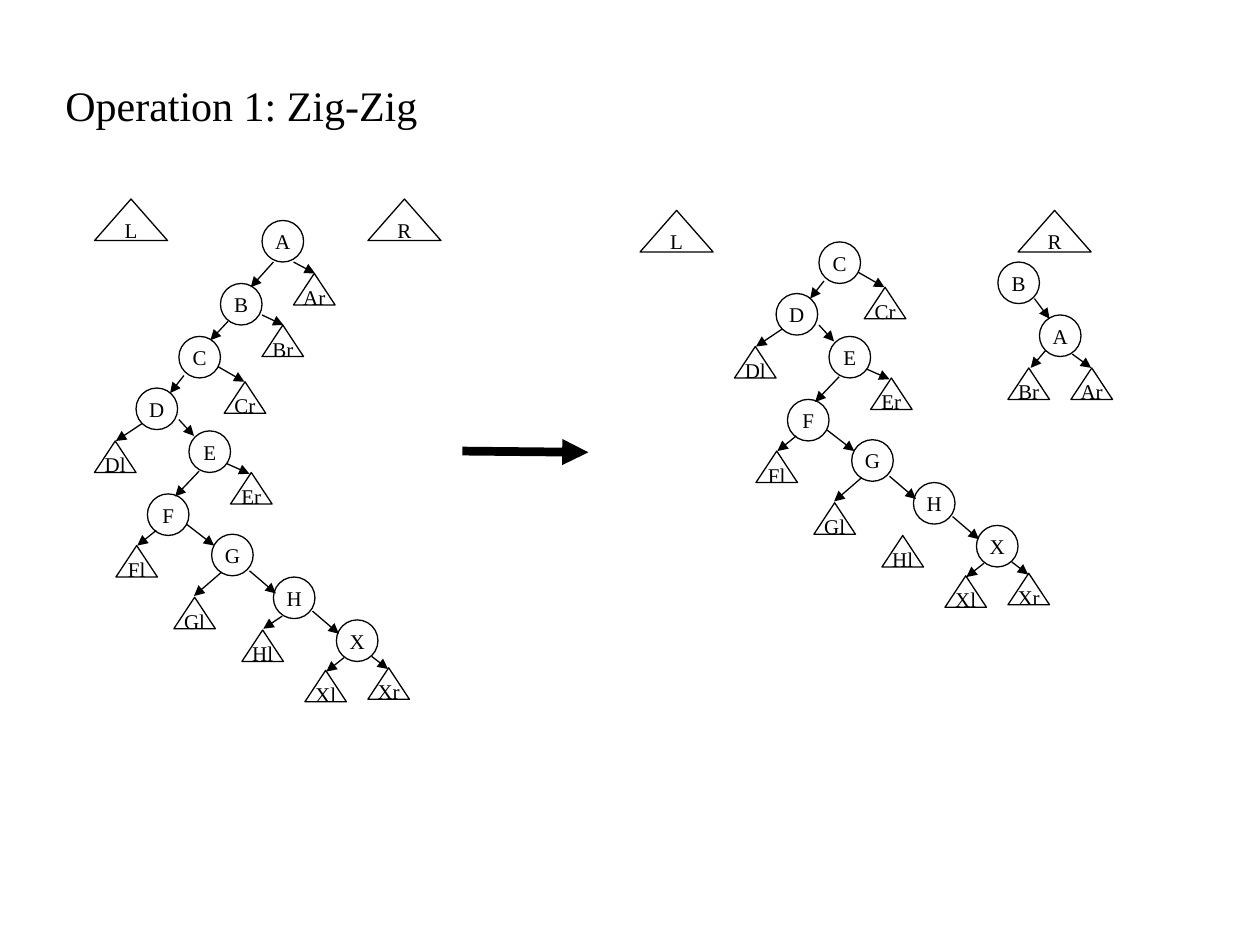
from lxml import etree
from pptx import Presentation
from pptx.dml.color import RGBColor
from pptx.enum import shapes, text
from pptx.oxml import ns
from pptx.util import Inches, Pt

BLACK = RGBColor(0, 0, 0)
WHITE = RGBColor(255, 255, 255)
FONT = "Times New Roman"
CIRCLE = (shapes.MSO_SHAPE.OVAL, 0.33, 0.33)
SUBTREE = (shapes.MSO_SHAPE.FLOWCHART_EXTRACT, 0.33, 0.25)
TREE = (shapes.MSO_SHAPE.FLOWCHART_EXTRACT, 0.58, 0.33)
LABEL_FRAME = {
    "word_wrap": False,
    "vertical_anchor": text.MSO_ANCHOR.MIDDLE,
}
TITLE_FRAME = {"word_wrap": True, "auto_size": text.MSO_AUTO_SIZE.SHAPE_TO_FIT_TEXT}

AFTER_SHIFT = (5.08, -0.75)
SHARED_CIRCLES = {
    "C": (1.42, 2.67), "D": (1.08, 3.08), "E": (1.5, 3.42), "F": (1.17, 3.92),
    "G": (1.68, 4.24), "H": (2.17, 4.58), "X": (2.67, 4.92),
}
SHARED_SUBTREES = {
    "Cr": (1.78, 3.03), "Dl": (0.75, 3.5), "Er": (1.83, 3.75), "Fl": (0.92, 4.33),
    "Gl": (1.38, 4.74), "Hl": (1.92, 5), "Xl": (2.42, 5.32), "Xr": (2.92, 5.3),
}
SHARED_EDGES = [
    (1.46, 2.98, 1.35, 3.12), (1.42, 3.33, 1.54, 3.46), (1.58, 3.74, 1.39, 3.94),
    (1.48, 4.16, 1.7, 4.33), (1.98, 4.53, 2.19, 4.71), (2.48, 4.85, 2.69, 5.03),
    (1.73, 2.91, 1.94, 3.03), (1.13, 3.36, 0.92, 3.5), (1.8, 3.68, 1.98, 3.76),
    (1.24, 4.21, 1.09, 4.33), (1.76, 4.54, 1.54, 4.73), (2.73, 5.22, 2.59, 5.33),
    (2.95, 5.21, 3.08, 5.31),
]

BEFORE_TREES = {"L": (0.75, 1.58), "R": (2.92, 1.58)}
BEFORE_CIRCLES = {"A": (2.08, 1.75), "B": (1.75, 2.25)}
BEFORE_SUBTREES = {"Ar": (2.33, 2.17), "Br": (2.08, 2.58)}
BEFORE_EDGES = [
    (2.17, 2.08, 1.99, 2.28), (1.81, 2.55, 1.67, 2.7), (2.33, 2.08, 2.5, 2.17),
    (2.08, 2.5, 2.25, 2.58), (2.24, 4.89, 2.09, 4.99),
]

AFTER_TREES = {"L": (5.08, 1.67), "R": (8.08, 1.67)}
AFTER_CIRCLES = {"A": (8.25, 2.5), "B": (7.92, 2.08)}
AFTER_SUBTREES = {"Ar": (8.5, 2.92), "Br": (8, 2.92)}
AFTER_EDGES = [
    (8.21, 2.37, 8.33, 2.53), (8.3, 2.78, 8.18, 2.92), (8.51, 2.81, 8.66, 2.92),
]


def set_attributes(target, values):
    for name, value in values.items():
        setattr(target, name, value)


def write_text(shape, content, size, frame_format, alignment):
    set_attributes(shape.text_frame, frame_format)
    paragraph = shape.text_frame.paragraphs[0]
    paragraph.alignment = alignment
    run = paragraph.add_run()
    run.text = content
    set_attributes(run.font, {"name": FONT, "size": Pt(size)})
    run.font.color.rgb = BLACK


def add_title(slide, content):
    box = slide.shapes.add_textbox(Inches(0.42), Inches(0.58), Inches(3.08), Inches(0.5))
    write_text(box, content, 24, TITLE_FRAME, text.PP_ALIGN.LEFT)


def add_node(slide, kind, label, left, top):
    preset, width, height = kind
    shape = slide.shapes.add_shape(
        preset, Inches(left), Inches(top), Inches(width), Inches(height))
    shape.shadow.inherit = False
    shape.fill.solid()
    shape.fill.fore_color.rgb = WHITE
    shape.line.color.rgb = BLACK
    shape.line.width = Pt(0.75)
    write_text(shape, label, 12, LABEL_FRAME, text.PP_ALIGN.CENTER)


def add_arrow(slide, points, weight=0.75):
    connector = slide.shapes.add_connector(
        shapes.MSO_CONNECTOR.STRAIGHT, *(Inches(point) for point in points))
    connector.line.color.rgb = BLACK
    connector.line.width = Pt(weight)
    etree.SubElement(connector.line._get_or_add_ln(), ns.qn("a:tailEnd"), type="triangle")
    etree.SubElement(connector._element.spPr, ns.qn("a:effectLst"))


def add_diagram(slide, circles, subtrees, edges, trees=None, shift=(0, 0)):
    across, down = shift
    for kind, nodes in ((TREE, trees or {}), (CIRCLE, circles), (SUBTREE, subtrees)):
        for label, (left, top) in nodes.items():
            add_node(slide, kind, label, left + across, top + down)
    for start_x, start_y, end_x, end_y in edges:
        add_arrow(slide, (start_x + across, start_y + down, end_x + across, end_y + down))


def main():
    presentation = Presentation()
    presentation.slide_width = Inches(10)
    presentation.slide_height = Inches(7.5)
    slide = presentation.slides.add_slide(presentation.slide_layouts[6])

    add_title(slide, "Operation 1: Zig-Zig")
    add_diagram(slide, BEFORE_CIRCLES, BEFORE_SUBTREES, BEFORE_EDGES, BEFORE_TREES)
    add_diagram(slide, AFTER_CIRCLES, AFTER_SUBTREES, AFTER_EDGES, AFTER_TREES)
    for shift in ((0, 0), AFTER_SHIFT):
        add_diagram(slide, SHARED_CIRCLES, SHARED_SUBTREES, SHARED_EDGES, shift=shift)
    add_arrow(slide, (3.67, 3.58, 4.67, 3.59), weight=5)

    presentation.save("out.pptx")


if __name__ == "__main__":
    main()
